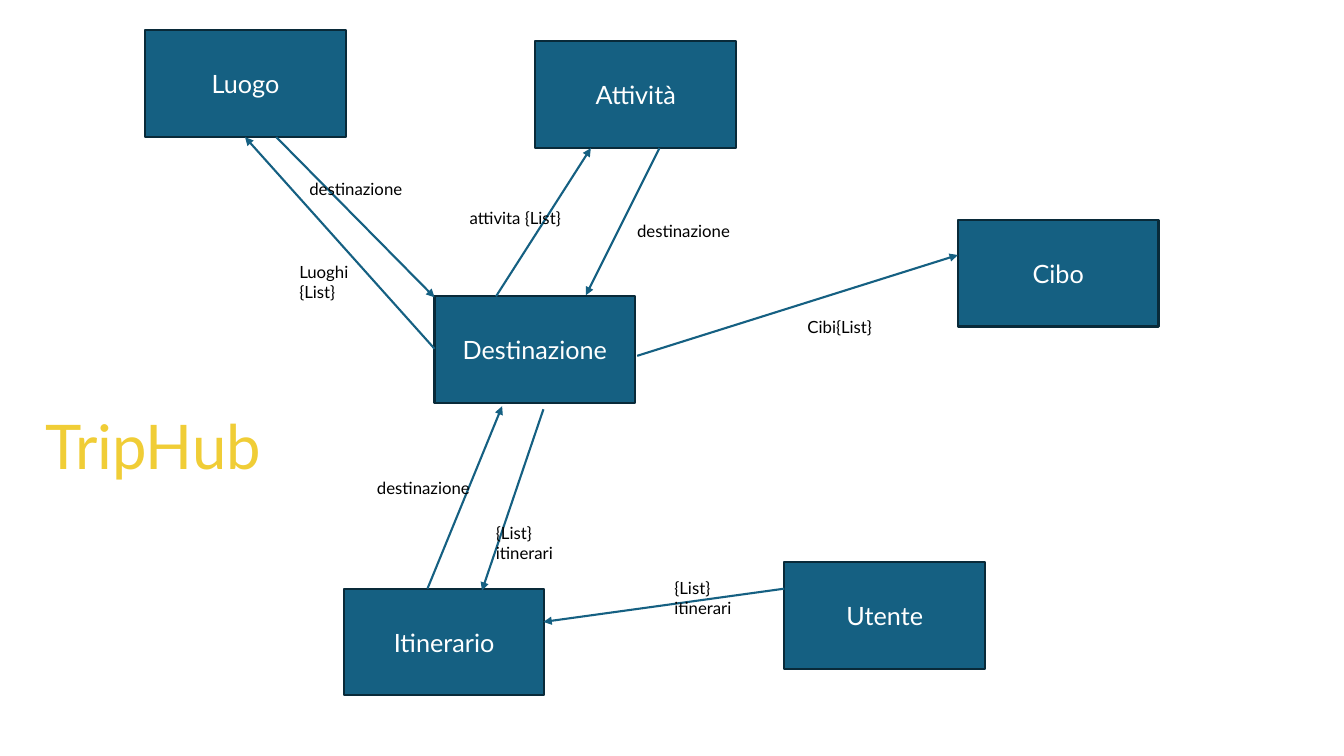
from dataclasses import dataclass

from lxml.etree import SubElement
from pptx import Presentation
from pptx.dml.color import RGBColor
from pptx.enum.shapes import MSO_CONNECTOR as Connector, MSO_SHAPE as Preset
from pptx.enum.text import MSO_ANCHOR as Anchor, MSO_AUTO_SIZE as AutoSize, PP_ALIGN as Align
from pptx.oxml.ns import qn
from pptx.slide import Slide
from pptx.text.text import TextFrame
from pptx.util import Inches, Pt


@dataclass(frozen=True)
class Theme:
    font: str = "Lato"
    fill: str = "156082"
    outline: str = "092A39"
    title: str = "F0CD36"
    entity_text: str = "FFFFFF"
    label_text: str = "000000"
    title_size: float = 44
    entity_size: float = 18
    label_size: float = 12
    line_width: float = 1.5


@dataclass(frozen=True)
class Entity:
    name: str
    left: float
    top: float


@dataclass(frozen=True)
class Arrow:
    start: tuple[float, float]
    end: tuple[float, float]


@dataclass(frozen=True)
class Label:
    text: str
    left: float
    top: float
    width: float = 1.2


THEME = Theme()
ENTITY_WIDTH, ENTITY_HEIGHT = 1.99, 1.06
LABEL_HEIGHT = 0.3
LIST_WIDTH = 1.0

ENTITIES = [
    Entity("Attività", 5.31, 0.41),
    Entity("Destinazione", 4.31, 2.94),
    Entity("Luogo", 1.44, 0.3),
    Entity("Utente", 7.78, 5.58),
    Entity("Cibo", 9.5, 2.18),
    Entity("Itinerario", 3.41, 5.84),
]

ARROWS = [
    Arrow((4.31, 3.46), (2.43, 1.36)),
    Arrow((2.74, 1.36), (4.31, 2.95)),
    Arrow((4.92, 2.94), (5.86, 1.47)),
    Arrow((6.54, 1.47), (5.81, 2.93)),
    Arrow((6.32, 3.53), (9.5, 2.53)),
    Arrow((4.24, 5.84), (4.98, 4.03)),
    Arrow((5.39, 4.06), (4.78, 5.86)),
    Arrow((7.78, 5.84), (5.39, 6.17)),
]

LABELS = [
    Label("attivita {List}", 4.56, 2.01, 2.11),
    Label("destinazione", 6.22, 2.14),
    Label("Luoghi {List}", 2.87, 2.55, LIST_WIDTH),
    Label("destinazione", 2.97, 1.72),
    Label("destinazione", 3.64, 4.69),
    Label("{List} itinerari", 4.82, 5.14, LIST_WIDTH),
    Label("{List} itinerari", 6.59, 5.68, LIST_WIDTH),
    Label("Cibi{List}", 7.91, 3.09),
]


def write(frame: TextFrame, text: str, size: float, color: str, align: Align = Align.LEFT) -> None:
    frame.word_wrap = True
    frame.auto_size = AutoSize.NONE
    paragraph = frame.paragraphs[0]
    paragraph.alignment = align
    run = paragraph.add_run()
    run.text = text
    run.font.name = THEME.font
    run.font.size = Pt(size)
    run.font.color.rgb = RGBColor.from_string(color)


def draw_title(slide: Slide, text: str) -> None:
    title = slide.shapes.title
    title.left, title.top = Inches(0.35), Inches(3.99)
    title.width, title.height = Inches(2.38), Inches(0.84)
    title.text_frame.vertical_anchor = Anchor.MIDDLE
    write(title.text_frame, text, THEME.title_size, THEME.title)


def draw_entity(slide: Slide, entity: Entity) -> None:
    shape = slide.shapes.add_shape(
        Preset.RECTANGLE,
        Inches(entity.left), Inches(entity.top), Inches(ENTITY_WIDTH), Inches(ENTITY_HEIGHT),
    )
    shape.shadow.inherit = False
    shape.fill.solid()
    shape.fill.fore_color.rgb = RGBColor.from_string(THEME.fill)
    shape.line.color.rgb = RGBColor.from_string(THEME.outline)
    shape.line.width = Pt(THEME.line_width)
    shape.text_frame.vertical_anchor = Anchor.MIDDLE
    write(shape.text_frame, entity.name, THEME.entity_size, THEME.entity_text, Align.CENTER)


def draw_arrow(slide: Slide, arrow: Arrow) -> None:
    points = [Inches(value) for value in (*arrow.start, *arrow.end)]
    connector = slide.shapes.add_connector(Connector.STRAIGHT, *points)
    connector.line.color.rgb = RGBColor.from_string(THEME.fill)
    connector.line.width = Pt(THEME.line_width)
    SubElement(connector.line._get_or_add_ln(), qn("a:tailEnd"), type="triangle")
    SubElement(connector._element.spPr, qn("a:effectLst"))


def draw_label(slide: Slide, label: Label) -> None:
    box = slide.shapes.add_textbox(
        Inches(label.left), Inches(label.top), Inches(label.width), Inches(LABEL_HEIGHT)
    )
    write(box.text_frame, label.text, THEME.label_size, THEME.label_text)


def main() -> None:
    presentation = Presentation()
    presentation.slide_width = Inches(13.33)
    presentation.slide_height = Inches(7.5)
    slide = presentation.slides.add_slide(presentation.slide_layouts.get_by_name("Title Only"))
    draw_title(slide, "TripHub")
    for entity in ENTITIES:
        draw_entity(slide, entity)
    for arrow in ARROWS:
        draw_arrow(slide, arrow)
    for label in LABELS:
        draw_label(slide, label)
    presentation.save("out.pptx")


if __name__ == "__main__":
    main()
